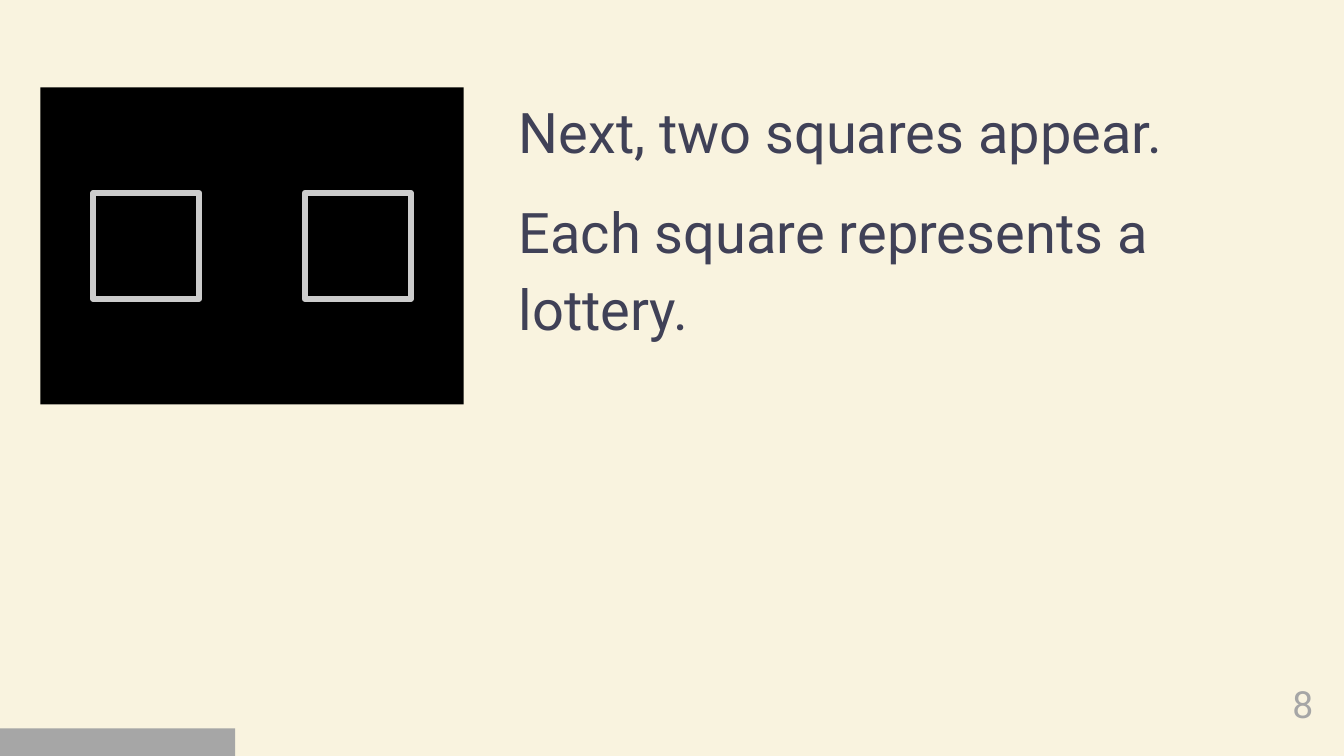
import pptx
import pptx.dml.color
import pptx.enum.shapes
import pptx.enum.text
import pptx.oxml.ns
import pptx.util
from pptx.util import Inches, Pt
from lxml import etree

# Content
LINES = ["Next, two squares appear.", "Each square represents a lottery."]
PAGE = "8"
FONT = "Roboto"
COLORS = {"back": "F9F3DF", "screen": "000000", "square": "CCCCCC",
          "text": "404157", "gray": "A6A6A6"}

# Layout, in inches
SCREEN = (0.3, 0.65, 3.15, 2.36)
SIDE = 0.79
BODY = (3.86, 0.65, 5.84, 4.32)
NUMBER = (9.27, 5.02, 0.6, 0.43)
BAR = (0, 5.42, 1.75, 0.21)


def color(name):
    return pptx.dml.color.RGBColor.from_string(COLORS[name])


def add_rect(slide, box, fill=None, line=None):
    kind = pptx.enum.shapes.MSO_SHAPE.RECTANGLE
    rect = slide.shapes.add_shape(kind, *map(Inches, box))
    rect.shadow.inherit = False
    if fill:
        rect.fill.solid()
        rect.fill.fore_color.rgb = color(fill)
    else:
        rect.fill.background()
    if line:
        rect.line.color.rgb = color(line)
        rect.line.width = Pt(3)
    else:
        rect.line.fill.background()


def set_frame(frame, left, top):
    frame.word_wrap = True
    frame.auto_size = pptx.enum.text.MSO_AUTO_SIZE.NONE
    frame.margin_left, frame.margin_top = Inches(left), Inches(top)
    frame.margin_right = frame.margin_bottom = Inches(0.1)


def set_font(para, size, name):
    para.font.name = FONT
    para.font.size = Pt(size)
    para.font.color.rgb = color(name)


def main():
    # Slide in 16:9
    deck = pptx.Presentation()
    deck.slide_width = Inches(10)
    deck.slide_height = Inches(10 * 9 / 16)
    slide = deck.slides.add_slide(deck.slide_layouts[1])
    slide.background.fill.solid()
    slide.background.fill.fore_color.rgb = color("back")
    title = slide.shapes.title.element
    title.getparent().remove(title)

    # Screen with a square centred in each half
    add_rect(slide, SCREEN, fill="screen")
    left, top, width, height = SCREEN
    for half in range(2):
        mid = left + width * (2 * half + 1) / 4
        add_rect(slide, (mid - SIDE / 2, top + (height - SIDE) / 2, SIDE, SIDE),
                 line="square")

    # Body text
    body = slide.placeholders[1]
    body.left, body.top, body.width, body.height = map(Inches, BODY)
    frame = body.text_frame
    set_frame(frame, 0, 0)
    frame.text = "\n".join(LINES)
    for index, para in enumerate(frame.paragraphs):
        props = para._p.get_or_add_pPr()
        props.set("marL", "0")
        props.set("indent", "0")
        etree.SubElement(props, pptx.oxml.ns.qn("a:buNone"))
        para.line_spacing = 1.15
        para.space_before = para.space_after = Pt(12 if index else 0)
        set_font(para, 30, "text")

    # Page number
    number = slide.shapes.add_textbox(*map(Inches, NUMBER)).text_frame
    set_frame(number, 0.1, 0.1)
    number.vertical_anchor = pptx.enum.text.MSO_ANCHOR.MIDDLE
    number.text = PAGE
    para = number.paragraphs[0]
    para.alignment = pptx.enum.text.PP_ALIGN.RIGHT
    set_font(para, 20, "gray")

    # Progress bar
    add_rect(slide, BAR, fill="gray")
    deck.save("out.pptx")


if __name__ == "__main__":
    main()
